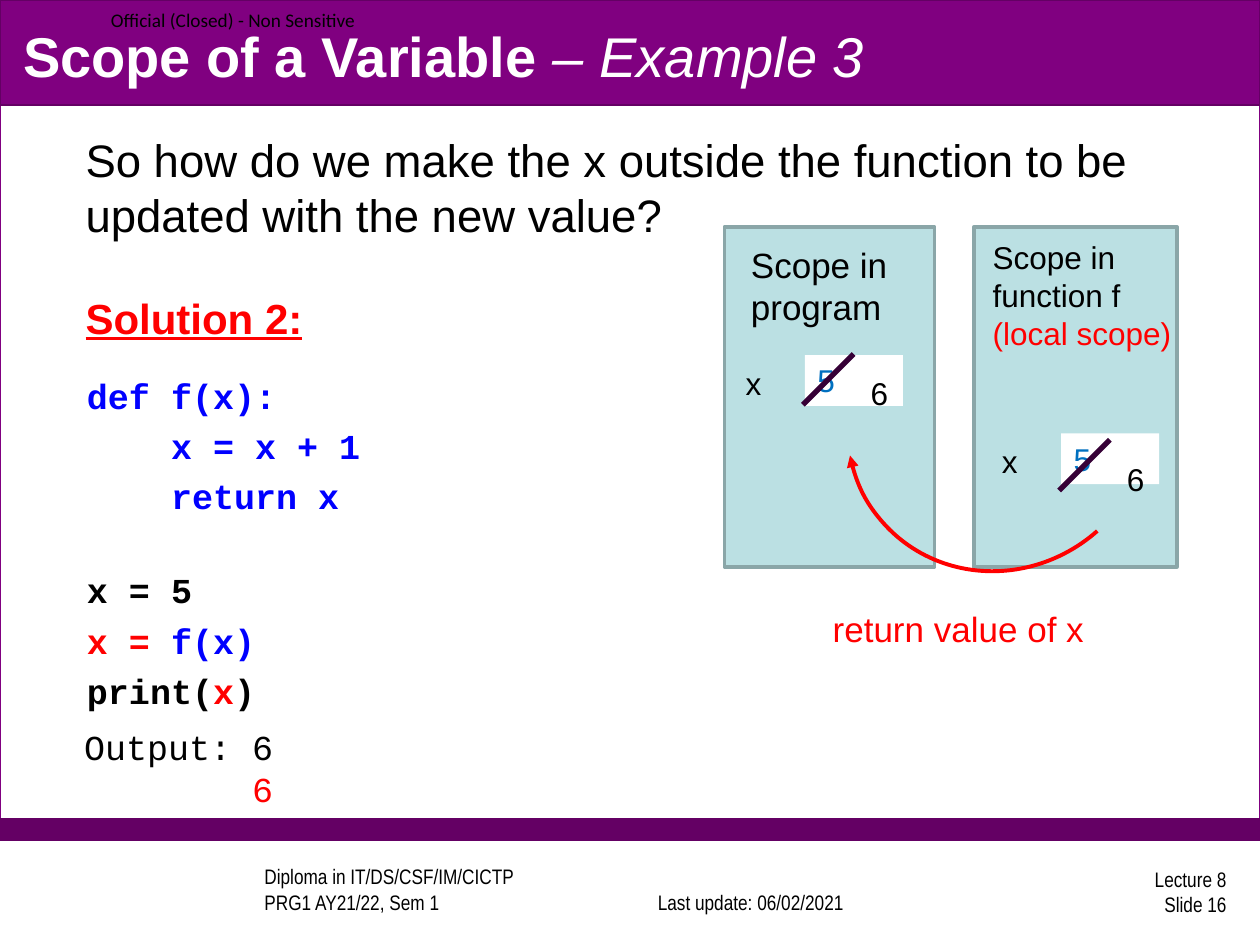
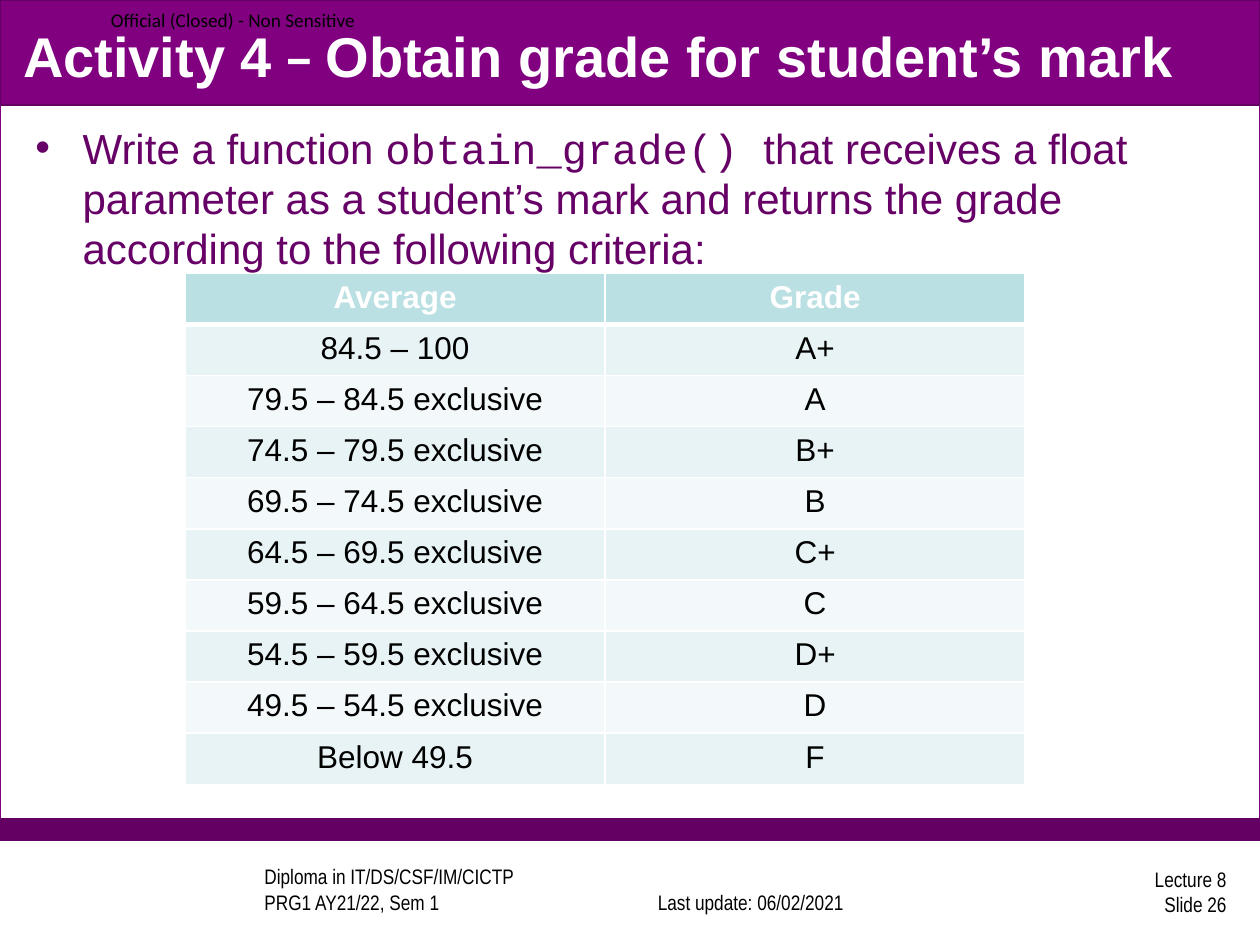
from dataclasses import dataclass

from lxml.etree import SubElement
from pptx import Presentation
from pptx.dml.color import RGBColor
from pptx.enum.shapes import MSO_CONNECTOR, MSO_SHAPE
from pptx.enum.text import MSO_ANCHOR as Anchor, MSO_AUTO_SIZE, PP_ALIGN as Align
from pptx.oxml import parse_xml
from pptx.oxml.ns import nsdecls, qn
from pptx.util import Pt


@dataclass(frozen=True)
class Theme:
    purple: str = "800080"
    dark_purple: str = "640064"
    body_purple: str = "660066"
    slash: str = "360036"
    panel: str = "BBE0E3"
    panel_edge: str = "8AA6A8"
    band_dark: str = "E7F3F4"
    band_light: str = "F3F9FA"
    white: str = "FFFFFF"
    black: str = "000000"
    red: str = "FF0000"
    code_blue: str = "0000FF"
    old_value: str = "0070C0"
    sans: str = "Arial"
    mono: str = "Courier New"
    narrow: str = "Arial Narrow"
    label: str = "Calibri"
    dash: str = "Cabin"
    title_size: int = 32
    question_size: int = 26
    body_size: int = 24
    code_size: int = 20
    note_size: int = 18
    footer_size: int = 12
    label_size: int = 11


THEME = Theme()
WIDTH, HEIGHT = 720, 540


def rgb(value):
    return RGBColor.from_string(value)


def write(frame, paragraphs, align=Align.LEFT, **base):
    """Fill a frame; a paragraph is a list of spans, a span is text or (text, format)."""
    frame.word_wrap = True
    frame.auto_size = MSO_AUTO_SIZE.NONE
    for number, spans in enumerate(paragraphs):
        para = frame.add_paragraph() if number else frame.paragraphs[0]
        para.alignment = align
        for span in spans:
            text, changes = (span, {}) if isinstance(span, str) else span
            run = para.add_run()
            run.text = text
            style = {"name": THEME.sans, "color": THEME.black, **base, **changes}
            run.font.color.rgb = rgb(style.pop("color"))
            style["size"] = Pt(style["size"])
            for key, value in style.items():
                setattr(run.font, key, value)


def indent(para, amount):
    """Remove the bullet and set a plain left indent."""
    props = para._p.get_or_add_pPr()
    props.set("marL", str(Pt(amount)))
    props.set("indent", "0")
    SubElement(props, qn("a:buNone"))


def border(cell, bottom):
    widths = {"lnL": 1, "lnR": 1, "lnT": 1, "lnB": bottom}
    props = cell._tc.get_or_add_tcPr()
    for place, (tag, width) in enumerate(widths.items()):
        props.insert(place, parse_xml(
            f'<a:{tag} {nsdecls("a")} w="{Pt(width)}"><a:solidFill>'
            f'<a:srgbClr val="{THEME.white}"/></a:solidFill></a:{tag}>'))


class Deck:
    def __init__(self):
        self.file = Presentation()
        self.file.slide_width, self.file.slide_height = Pt(WIDTH), Pt(HEIGHT)
        self.page = None

    def start(self, number, title):
        """Open a page with its bands, footers and title."""
        self.page = self.file.slides.add_slide(self.file.slide_layouts[1])
        holders = list(self.page.placeholders)
        self.rect(0, 0, WIDTH, 480, THEME.white, THEME.purple)
        self.rect(0, 468, WIDTH, 12, THEME.dark_purple, THEME.dark_purple)
        self.rect(0, 0, WIDTH, 60, THEME.purple, THEME.dark_purple)

        footer = {"name": THEME.narrow, "size": THEME.footer_size}
        self.text(144, 496, 192, 30, [["Diploma in IT/DS/CSF/IM/CICTP"],
                  ["PRG1 AY21/22, Sem 1"]], Anchor.BOTTOM, **footer)
        self.text(354, 496, 150, 30, [["Last update: 06/02/2021"]],
                  Anchor.BOTTOM, align=Align.CENTER, **footer)
        self.text(558, 494.6, 150, 30, [["Lecture 8"], [f"Slide {number}"]],
                  Anchor.MIDDLE, align=Align.RIGHT, **footer)
        label = self.text(63.4, 0, 154, 22.3, [["Official (Closed) - Non Sensitive"]],
                          Anchor.MIDDLE, name=THEME.label, size=THEME.label_size)
        for side in ("left", "right", "top", "bottom"):
            setattr(label.text_frame, f"margin_{side}", 0)

        for holder in holders:
            self.page.shapes._spTree.append(holder._element)
        self.fill_holder(0, (6, 9.4, 708, 44.6), [title], size=THEME.title_size,
                         color=THEME.white, bold=True)

    def fill_holder(self, index, place, paragraphs, **base):
        holder = self.page.placeholders[index]
        for key, value in zip(("left", "top", "width", "height"), place):
            setattr(holder, key, Pt(value))
        write(holder.text_frame, paragraphs, **base)
        return holder.text_frame.paragraphs

    def text(self, left, top, width, height, paragraphs, anchor=Anchor.TOP, **base):
        box = self.page.shapes.add_textbox(Pt(left), Pt(top), Pt(width), Pt(height))
        box.text_frame.vertical_anchor = anchor
        write(box.text_frame, paragraphs, **base)
        return box

    def rect(self, left, top, width, height, fill, edge=None, weight=0.75):
        shape = self.page.shapes.add_shape(
            MSO_SHAPE.RECTANGLE, Pt(left), Pt(top), Pt(width), Pt(height))
        shape.shadow.inherit = False
        shape.fill.solid()
        shape.fill.fore_color.rgb = rgb(fill)
        if edge:
            shape.line.color.rgb = rgb(edge)
            shape.line.width = Pt(weight)
        else:
            shape.line.fill.background()
        shape.text_frame.vertical_anchor = Anchor.TOP
        return shape

    def line(self, start, end, color, weight):
        line = self.page.shapes.add_connector(
            MSO_CONNECTOR.STRAIGHT, *map(Pt, (*start, *end)))
        line.line.color.rgb = rgb(color)
        line.line.width = Pt(weight)
        SubElement(line._element.spPr, qn("a:effectLst"))

    def arc_arrow(self, left, top, width, height, rotation, angles, color):
        arc = self.page.shapes.add_shape(
            MSO_SHAPE.ARC, Pt(left), Pt(top), Pt(width), Pt(height))
        arc.rotation = rotation
        arc.adjustments[0], arc.adjustments[1] = angles
        arc.shadow.inherit = False
        arc.fill.background()
        arc.line.color.rgb = rgb(color)
        arc.line.width = Pt(2.25)
        SubElement(arc.line._get_or_add_ln(), qn("a:tailEnd"), type="triangle")

    def variable(self, left, top, drop):
        """Show x with its old value struck out and its new value beside it."""
        size = THEME.note_size
        self.text(left, top, 40, 29, [["x"]], size=size)
        old = self.rect(left + 41, top - 1.5, 56, 29, THEME.white)
        write(old.text_frame, [["5"]], size=size, color=THEME.old_value)
        slash_top = top - 2.2 + drop
        self.line((left + 68.8, slash_top), (left + 39.8, slash_top + 29),
                  THEME.slash, 3)
        self.text(left + 71.5, top + 5.8 + drop, 56, 29, [["6"]], size=size)

    def table(self, left, top, width, row_height, rows):
        columns = len(rows[0])
        grid = self.page.shapes.add_table(
            len(rows), columns, Pt(left), Pt(top), Pt(width),
            Pt(row_height * len(rows))).table
        for column in grid.columns:
            column.width = Pt(width / columns)
        for number, values in enumerate(rows):
            header = number == 0
            band = THEME.band_dark if number % 2 else THEME.band_light
            for cell, value in zip(grid.rows[number].cells, values):
                cell.fill.solid()
                cell.fill.fore_color.rgb = rgb(THEME.panel if header else band)
                border(cell, 3 if header else 1)
                write(cell.text_frame, [[value]], Align.CENTER, size=THEME.note_size,
                      bold=header, color=THEME.white if header else THEME.black)


def scope_page(deck):
    deck.start(16, ["Scope of a Variable ",
                    ("– Example 3", {"bold": False, "italic": True})])
    red, blue = {"color": THEME.red}, {"color": THEME.code_blue}

    question = deck.text(41.8, 72, 654, 133, [
        ["So how do we make the x outside the function to be updated "
         "with the new value?"],
        [("Solution 2:", {"size": THEME.body_size, "bold": True,
                          "underline": True, **red})],
    ], size=THEME.question_size)
    question.text_frame.paragraphs[1].space_before = Pt(29)

    code = deck.fill_holder(1, (42.5, 210.2, 414, 221), [
        [("def f(x):", blue)],
        [("    x = x + 1", blue)],
        [("    return x", blue)],
        ["x = 5"],
        [("x = ", red), ("f(x)", blue)],
        ["print(", ("x", red), ")"],
    ], name=THEME.mono, size=THEME.code_size, bold=True)
    for number, para in enumerate(code):
        para.space_before = Pt({0: 0, 3: 29.5}.get(number, 4.8))
        indent(para, 0)

    for left, width in ((414, 120), (556.6, 116)):
        deck.rect(left, 129.6, width, 194.4, THEME.panel, THEME.panel_edge, 2)
    deck.text(422, 135.4, 104.4, 55.4, [["Scope in program"]], size=THEME.code_size)
    deck.text(560.2, 132.5, 132.5, 72.7,
              [["Scope in function f ", ("(local scope)", red)]], size=THEME.note_size)
    deck.variable(419, 204.5, drop=0)
    deck.variable(565.4, 249.2, drop=4.3)
    deck.arc_arrow(482.4, 155.5, 177.1, 169.2, 138.5, (162, 16.9), THEME.red)
    deck.text(468.7, 343.4, 174.2, 31.7, [["return value of x"]],
              size=THEME.code_size, **red)

    output = deck.rect(41, 411.1, 144, 55.4, THEME.white).text_frame
    write(output, [["Output: 6"], [("6", red)]], name=THEME.mono, size=THEME.code_size)
    indent(output.paragraphs[1], 96)


def grade_page(deck):
    deck.start(26, ["Activity 4", (" – ", {"name": THEME.dash}),
                    "Obtain grade for student’s mark"])
    task = deck.fill_holder(1, (13, 66.2, 664.6, 128.2), [[
        "Write a function ", ("obtain_grade() ", {"name": THEME.mono}),
        "that receives a float parameter as a student’s mark and returns the grade "
        "according to the following criteria:",
    ]], size=THEME.body_size, color=THEME.body_purple)
    task[0].space_before = Pt(0)

    limits = [84.5 - 5 * step for step in range(8)]
    ranges = [f"{limits[0]} – 100"]
    ranges += [f"{low} – {high} exclusive" for high, low in zip(limits, limits[1:])]
    ranges.append(f"Below {limits[-1]}")
    grades = ["A+", "A", "B+", "B", "C+", "C", "D+", "D", "F"]
    deck.table(105.8, 156.2, 480, 29.2, [("Average", "Grade"), *zip(ranges, grades)])


def main():
    deck = Deck()
    scope_page(deck)
    grade_page(deck)
    deck.file.save("out.pptx")


if __name__ == "__main__":
    main()
